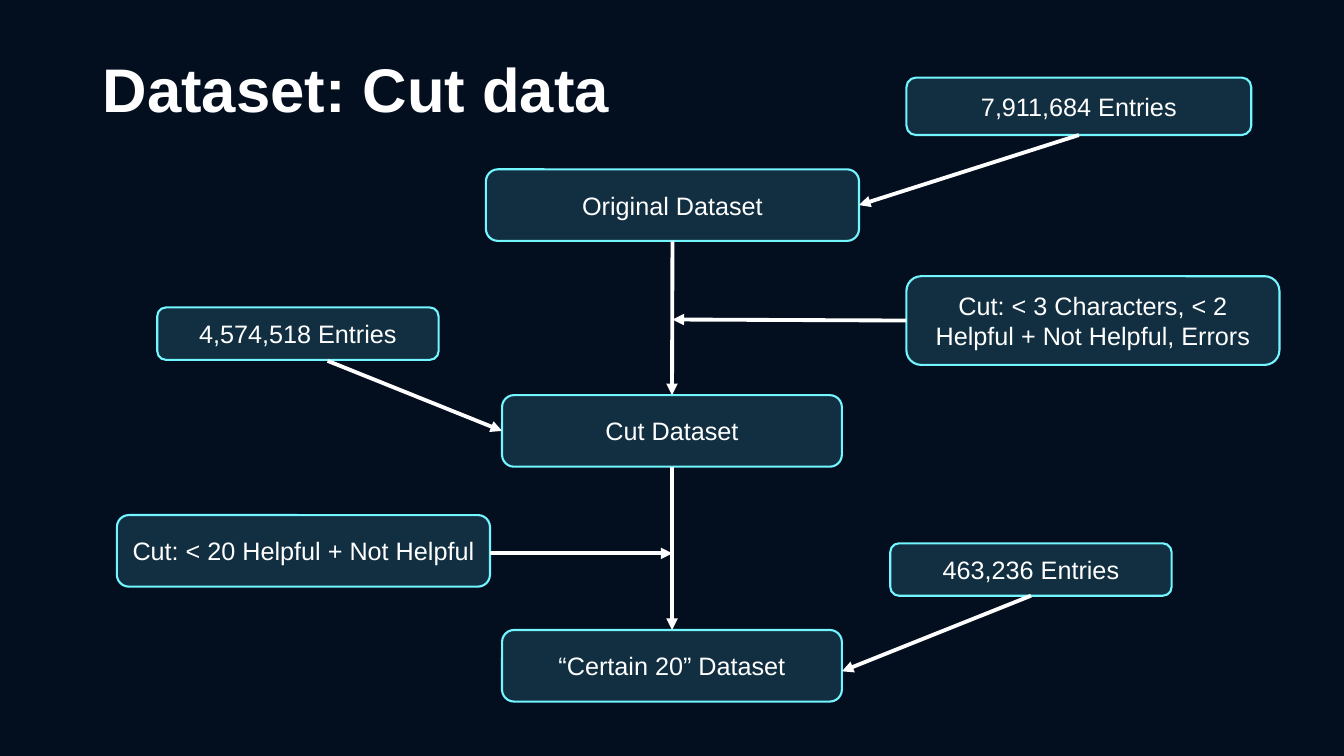
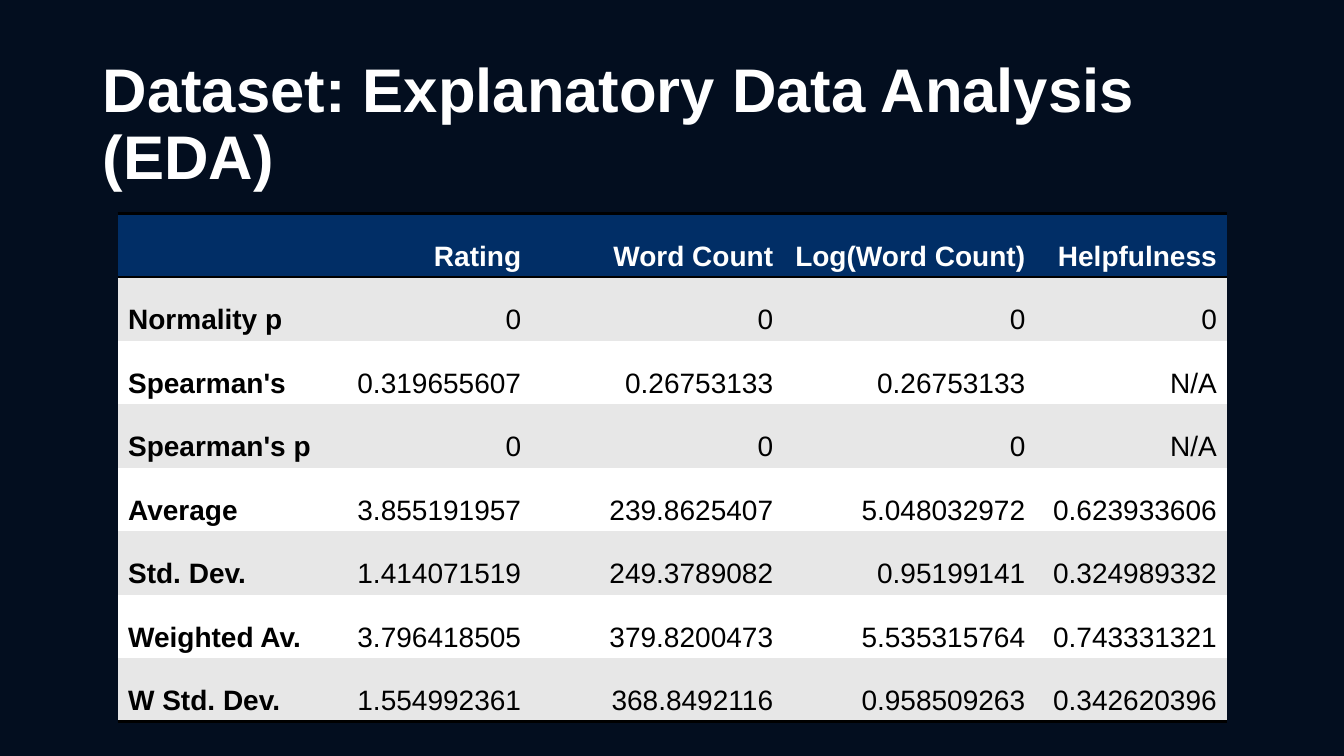
from lxml import etree
from pptx import Presentation
from pptx.dml.color import RGBColor
from pptx.enum.shapes import MSO_CONNECTOR, MSO_SHAPE
from pptx.enum.text import MSO_ANCHOR, PP_ALIGN
from pptx.oxml.ns import qn
from pptx.util import Inches, Pt

ROUNDED = MSO_SHAPE.ROUNDED_RECTANGLE
STRAIGHT = MSO_CONNECTOR.STRAIGHT
LEFT, CENTER, RIGHT = PP_ALIGN.LEFT, PP_ALIGN.CENTER, PP_ALIGN.RIGHT
MIDDLE, BOTTOM = MSO_ANCHOR.MIDDLE, MSO_ANCHOR.BOTTOM

FONT = "Arial"
NAVY = RGBColor(0x03, 0x0E, 0x1F)
WHITE = RGBColor(0xFF, 0xFF, 0xFF)
BLACK = RGBColor(0x00, 0x00, 0x00)
CYAN = RGBColor(0x64, 0xEC, 0xFF)
CYAN_EDGE = RGBColor(0x73, 0xF6, 0xFF)
HEADER_BLUE = RGBColor(0x01, 0x2E, 0x66)
BAND_GREY = RGBColor(0xE7, 0xE7, 0xE7)
BOX_OPACITY = 15

SLIDE_SIZE = (13.33, 7.5)
TITLE_AREA = (0.92, 0.54, 11.5, 1.01)

FLOW_TITLE = "Dataset: Cut data"
# Name: (text, left, top, width, height)
BOXES = {
    "original": ("Original Dataset", 4.82, 1.68, 3.7, 0.71),
    "cut": ("Cut Dataset", 4.98, 3.92, 3.37, 0.71),
    "certain": ("“Certain 20” Dataset", 4.98, 6.25, 3.37, 0.71),
    "first rule": ("Cut: < 3 Characters, < 2 Helpful + Not Helpful, Errors",
                   8.99, 2.74, 3.7, 0.88),
    "second rule": ("Cut: < 20 Helpful + Not Helpful", 1.16, 5.11, 3.7, 0.71),
    "original size": ("7,911,684 Entries", 8.99, 0.77, 3.42, 0.57),
    "cut size": ("4,574,518 Entries", 1.56, 3.05, 2.79, 0.52),
    "certain size": ("463,236 Entries", 8.83, 5.39, 2.79, 0.52),
}
# Each end is a box with a side, or a free point
ARROWS = [
    (("original", "bottom"), ("cut", "top")),
    (("cut", "bottom"), ("certain", "top")),
    (("first rule", "left"), (6.67, 3.17)),
    ((4.86, 5.49), (6.67, 5.49)),
    (("original size", "bottom"), ("original", "right")),
    ((3.25, 3.58), ("cut", "left")),
    (("certain size", "bottom"), (8.35, 6.66)),
]
# Side: share of the box's width and height
SIDES = {"top": (0.5, 0), "left": (0, 0.5), "bottom": (0.5, 1), "right": (1, 0.5)}

EDA_TITLE = "Dataset: Explanatory Data Analysis (EDA)"
EDA_ROWS = [
    ("", "Rating", "Word Count", "Log(Word Count)", "Helpfulness"),
    ("Normality p", "0", "0", "0", "0"),
    ("Spearman's", "0.319655607", "0.26753133", "0.26753133", "N/A"),
    ("Spearman's p", "0", "0", "0", "N/A"),
    ("Average", "3.855191957", "239.8625407", "5.048032972", "0.623933606"),
    ("Std. Dev.", "1.414071519", "249.3789082", "0.95199141", "0.324989332"),
    ("Weighted Av.", "3.796418505", "379.8200473", "5.535315764", "0.743331321"),
    ("W Std. Dev.", "1.554992361", "368.8492116", "0.958509263", "0.342620396"),
]
TABLE_LEFT, TABLE_TOP, ROW_HEIGHT = 1.17, 2.12, 0.63
COLUMN_WIDTHS = (2.21, 1.89, 2.5, 2.5, 1.9)
NO_STYLE = "{2D5ABB26-0587-4C30-8999-92F81FD0307C}"


def inches(values):
    return [Inches(value) for value in values]


def write(text_frame, text, size, color, bold=False, align=LEFT):
    paragraph = text_frame.paragraphs[0]
    paragraph.alignment = align
    run = paragraph.add_run()
    run.text = text
    font = run.font
    font.name, font.size, font.bold = FONT, Pt(size), bold
    font.color.rgb = color
    return paragraph


def add_titled_slide(presentation, title):
    slide = presentation.slides.add_slide(presentation.slide_layouts[6])
    text_frame = slide.shapes.add_textbox(*inches(TITLE_AREA)).text_frame
    text_frame.word_wrap = True
    write(text_frame, title, 44, WHITE, bold=True).line_spacing = 0.9
    return slide


def add_box(slide, text, *area):
    shape = slide.shapes.add_shape(ROUNDED, *inches(area))
    shape.shadow.inherit = False
    shape.fill.solid()
    shape.fill.fore_color.rgb = CYAN
    color = shape.fill._xPr.find(qn("a:solidFill"))[0]
    etree.SubElement(color, qn("a:alpha"), val=str(BOX_OPACITY * 1000))
    shape.line.color.rgb = CYAN_EDGE
    shape.line.width = Pt(1.5)
    shape.text_frame.word_wrap = True
    shape.text_frame.vertical_anchor = MIDDLE
    write(shape.text_frame, text, 18, WHITE, align=CENTER)
    return shape


def locate(end):
    """Return the point of an arrow end."""
    if end[0] not in BOXES:
        return end
    name, side = end
    left, top, width, height = BOXES[name][1:]
    across, down = SIDES[side]
    return left + across * width, top + down * height


def add_arrow(slide, shapes, start, end):
    connector = slide.shapes.add_connector(
        STRAIGHT, *inches(locate(start) + locate(end)))
    for place, connect in ((start, connector.begin_connect),
                           (end, connector.end_connect)):
        if place[0] in shapes:
            connect(shapes[place[0]], list(SIDES).index(place[1]))
    connector.line.color.rgb = WHITE
    connector.line.width = Pt(2.75)
    properties = connector._element.spPr
    etree.SubElement(properties.find(qn("a:ln")), qn("a:tailEnd"), type="triangle")
    etree.SubElement(properties, qn("a:effectLst"))


def add_border(cell, side):
    line = etree.SubElement(cell._tc.get_or_add_tcPr(), qn("a:ln" + side),
                            w=str(Pt(2)))
    fill = etree.SubElement(line, qn("a:solidFill"))
    etree.SubElement(fill, qn("a:srgbClr"), val=str(BLACK))


def fill_cell(cell, text, row, column):
    header = row == 0
    if header:
        add_border(cell, "T")
    if header or row == len(EDA_ROWS) - 1:
        add_border(cell, "B")
    cell.fill.solid()
    cell.fill.fore_color.rgb = (
        HEADER_BLUE if header else BAND_GREY if row % 2 else WHITE)
    cell.vertical_anchor = BOTTOM
    if text:
        write(cell.text_frame, text, 20, WHITE if header else BLACK,
              bold=header or column == 0, align=RIGHT if column else LEFT)


def build_flow_slide(presentation):
    slide = add_titled_slide(presentation, FLOW_TITLE)
    shapes = {name: add_box(slide, *box) for name, box in BOXES.items()}
    for start, end in ARROWS:
        add_arrow(slide, shapes, start, end)


def build_eda_slide(presentation):
    slide = add_titled_slide(presentation, EDA_TITLE)
    area = (TABLE_LEFT, TABLE_TOP, sum(COLUMN_WIDTHS), ROW_HEIGHT * len(EDA_ROWS))
    table = slide.shapes.add_table(
        len(EDA_ROWS), len(COLUMN_WIDTHS), *inches(area)).table
    table.first_row = table.horz_banding = False
    table._tbl.tblPr.find(qn("a:tableStyleId")).text = NO_STYLE
    for column, width in zip(table.columns, COLUMN_WIDTHS):
        column.width = Inches(width)
    for row, texts in enumerate(EDA_ROWS):
        table.rows[row].height = Inches(ROW_HEIGHT)
        for column, text in enumerate(texts):
            fill_cell(table.cell(row, column), text, row, column)


def main():
    presentation = Presentation()
    presentation.slide_width, presentation.slide_height = inches(SLIDE_SIZE)
    background = presentation.slide_master.background.fill
    background.solid()
    background.fore_color.rgb = NAVY
    build_flow_slide(presentation)
    build_eda_slide(presentation)
    presentation.save("out.pptx")


if __name__ == "__main__":
    main()
